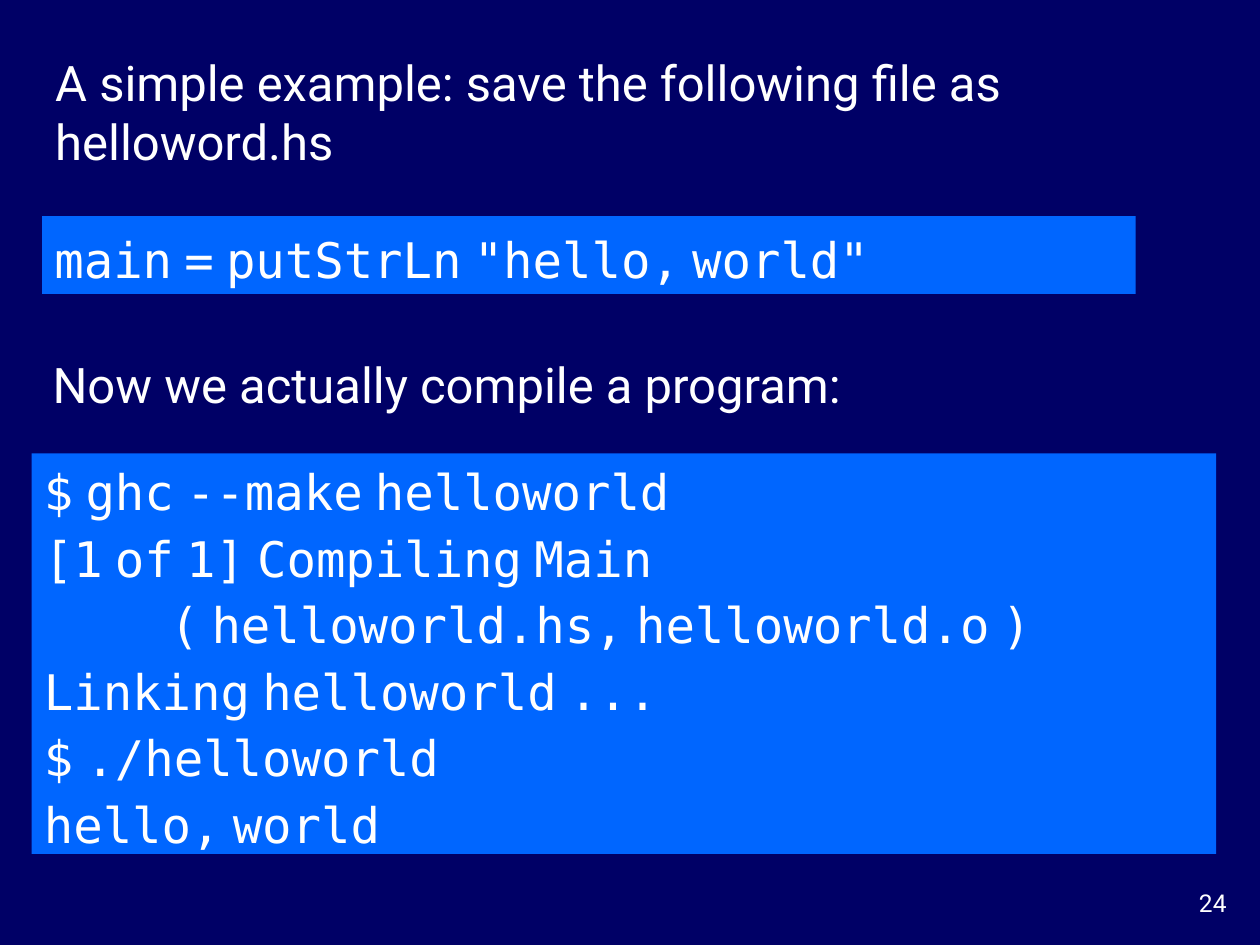
from pptx import Presentation
from pptx.dml.color import RGBColor
from pptx.enum.shapes import MSO_SHAPE
from pptx.enum.text import MSO_ANCHOR, PP_ALIGN
from pptx.util import Pt


def color(value):
    return RGBColor.from_string(value)


def format_run(r, font, size=28):
    r.font.name = font
    r.font.size = Pt(size)
    r.font.color.rgb = color("FFFFFF")


TEXT_FONT = "Roboto"
CODE_FONT = "DejaVu Sans Mono"

prs = Presentation()
prs.slide_width, prs.slide_height = Pt(720), Pt(540)
s = prs.slides.add_slide(prs.slide_layouts[6])
s.background.fill.solid()
s.background.fill.fore_color.rgb = color("000066")

# Explanations and slide number: text, box, size, alignment, anchor
texts = [
    ("A simple example: save the following file as helloword.hs",
     (24.5, 26, 670, 75), 28, PP_ALIGN.LEFT, MSO_ANCHOR.MIDDLE),
    ("Now we actually compile a program:",
     (23, 199, 670, 41), 28, PP_ALIGN.LEFT, MSO_ANCHOR.MIDDLE),
    ("24", (660, 504, 48, 24), 14, PP_ALIGN.RIGHT, MSO_ANCHOR.TOP),
]
for text, box, size, align, anchor in texts:
    tf = s.shapes.add_textbox(*map(Pt, box)).text_frame
    tf.word_wrap = True
    tf.vertical_anchor = anchor
    tf.text = text
    p = tf.paragraphs[0]
    p.alignment = align
    format_run(p.runs[0], TEXT_FONT, size)

# Code panels: box, lines
panels = [
    ((24, 123.5, 625, 44.5), ['main = putStrLn "hello, world"']),
    ((18, 259, 677, 229), [
        "$ ghc --make helloworld",
        "[1 of 1] Compiling Main",
        "\t\t( helloworld.hs, helloworld.o )",
        "Linking helloworld ...",
        "$ ./helloworld",
        "hello, world",
    ]),
]
for box, lines in panels:
    sp = s.shapes.add_shape(MSO_SHAPE.RECTANGLE, *map(Pt, box))
    sp.shadow.inherit = False
    sp.fill.solid()
    sp.fill.fore_color.rgb = color("0066FF")
    sp.line.fill.background()
    tf = sp.text_frame
    tf.word_wrap = True
    tf.vertical_anchor = MSO_ANCHOR.MIDDLE
    for n, line in enumerate(lines):
        p = tf.add_paragraph() if n else tf.paragraphs[0]
        p.alignment = PP_ALIGN.LEFT
        p.line_spacing = 1.13
        # Narrow gaps: spaces take the text font, words the code font
        for i, word in enumerate(line.split(" ")):
            if i:
                r = p.add_run()
                r.text = " "
                format_run(r, TEXT_FONT)
            r = p.add_run()
            r.text = word
            format_run(r, CODE_FONT)

prs.save("out.pptx")
